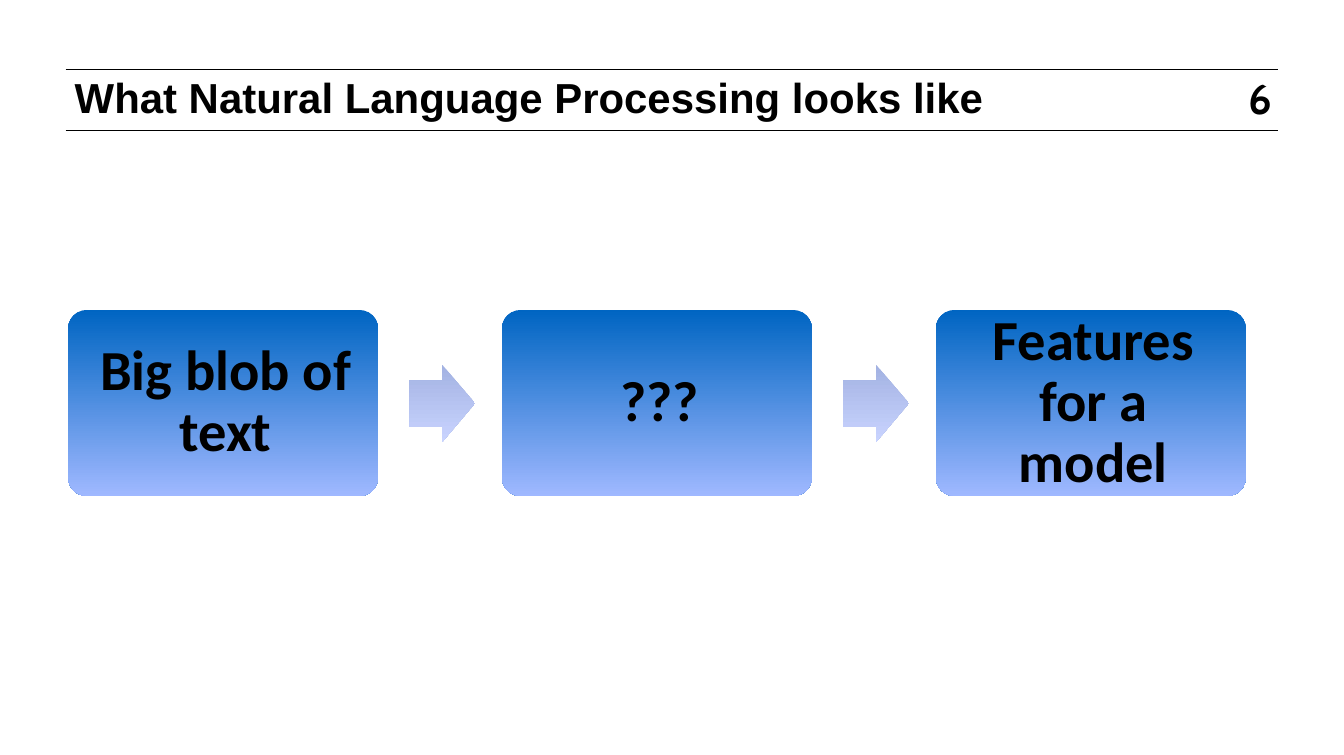
from lxml import etree
from pptx import Presentation
from pptx.dml.color import RGBColor
from pptx.enum import shapes, text
from pptx.oxml.ns import qn
from pptx.util import Pt

COLORS = {
    "ink": "000000",
    "box_top": "0065C2",
    "box_bottom": "9FB8FF",
    "arrow_top": "A3B2E2",
    "arrow_bottom": "C9D4FF",
}


def write(box, words, font, size, align, anchor, insets):
    frame = box.text_frame
    frame.word_wrap = True
    frame.vertical_anchor = anchor
    frame.margin_left, frame.margin_top, frame.margin_right, frame.margin_bottom = map(Pt, insets)
    para = frame.paragraphs[0]
    para.text = words
    para.alignment = align
    para.font.name = font
    para.font.size = Pt(size)
    para.font.bold = True
    para.font.color.rgb = RGBColor.from_string(COLORS["ink"])
    return para


def add_gradient_shape(kind, left, top, width, height, adjustments, name):
    shape = page.shapes.add_shape(kind, Pt(left), Pt(top), Pt(width), Pt(height))
    for index, value in enumerate(adjustments):
        shape.adjustments[index] = value
    shape.shadow.inherit = False
    shape.line.fill.background()
    shape.fill.gradient()
    shape.fill.gradient_angle = 270
    for stop, position, end in zip(shape.fill.gradient_stops, (0, 1), ("top", "bottom")):
        stop.position = position
        stop.color.rgb = RGBColor.from_string(COLORS[f"{name}_{end}"])
    return shape


deck = Presentation()
deck.slide_width, deck.slide_height = Pt(737.28), Pt(414)
page = deck.slides.add_slide(deck.slide_layouts[6])

for y in (38.2, 71.3):
    rule = page.shapes.add_connector(
        shapes.MSO_CONNECTOR.STRAIGHT, Pt(36), Pt(y), Pt(701.3), Pt(y))
    rule.line.width = Pt(0.5)
    rule.line.color.rgb = RGBColor.from_string(COLORS["ink"])
    etree.SubElement(rule._element.spPr, qn("a:effectLst"))

number = page.shapes.add_textbox(Pt(684), Pt(40.3), Pt(14.4), Pt(26.6))
write(number, "6", "Cabin", 23, text.PP_ALIGN.CENTER, text.MSO_ANCHOR.MIDDLE, (0, 0, 0, 0))

title = page.shapes.add_textbox(Pt(36.7), Pt(39.6), Pt(620), Pt(37.4))
para = write(title, "What Natural Language Processing looks like", "Arial", 23,
             text.PP_ALIGN.LEFT, text.MSO_ANCHOR.TOP, (4.3, 4.3, 4.3, 4.3))
para.line_spacing = Pt(23)

steps = ["Big blob of text", "???", "Features for a model"]
first_left, pitch = 37.4, 238
for index, step in enumerate(steps):
    left = first_left + index * pitch
    box = add_gradient_shape(shapes.MSO_SHAPE.ROUNDED_RECTANGLE,
                             left, 170, 170, 102, [0.1], "box")
    para = write(box, step, "Calibri", 31, text.PP_ALIGN.CENTER,
                 text.MSO_ANCHOR.MIDDLE, (12.2, 12.2, 9.4, 12.2))
    para.line_spacing = 0.9
    para.space_after = Pt(10.9)
    if index < len(steps) - 1:
        add_gradient_shape(shapes.MSO_SHAPE.RIGHT_ARROW,
                           left + 187.2, 200, 36, 42.4, [0.6, 0.5], "arrow")

deck.save("out.pptx")
